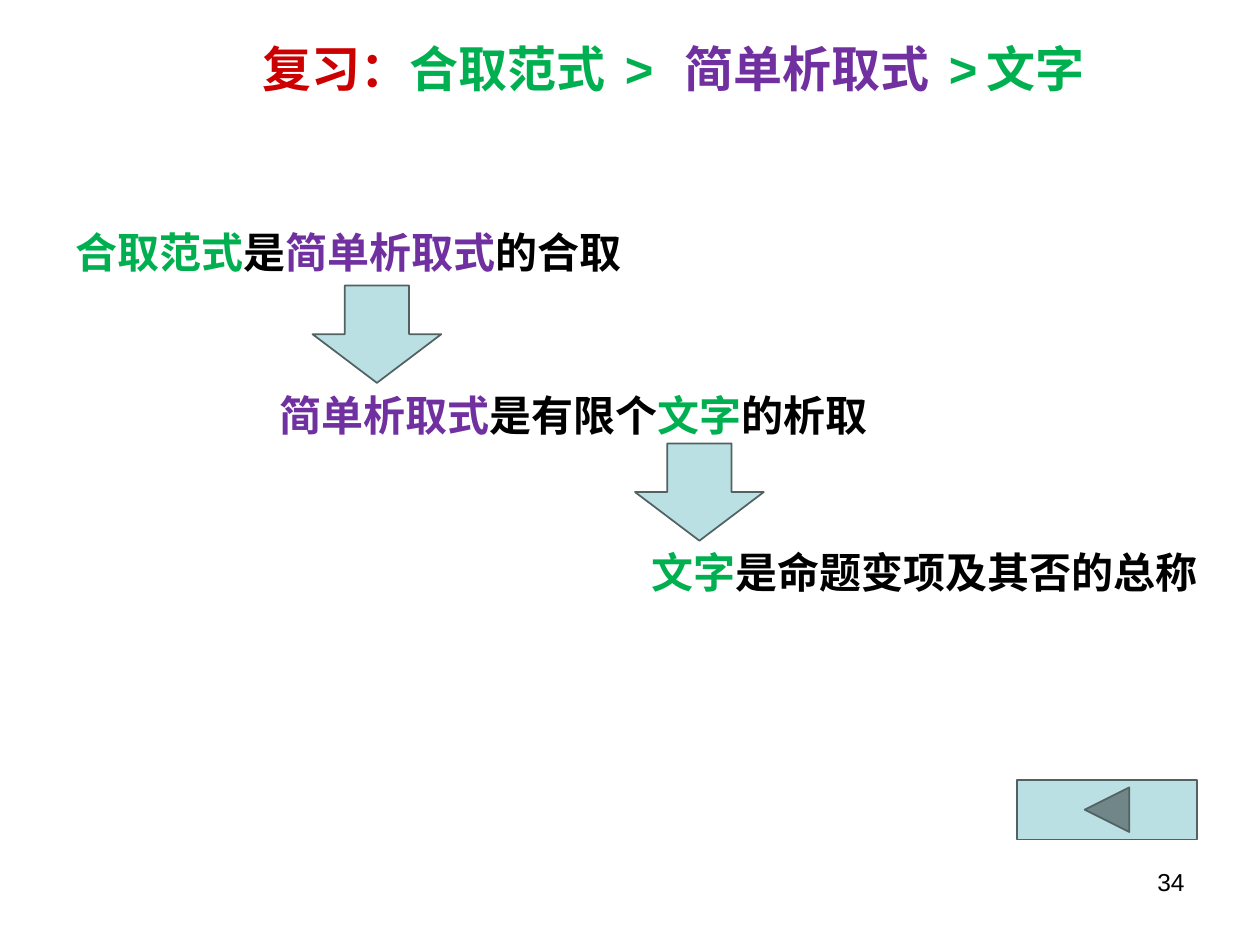
"""Build the review slide on conjunctive normal form, clauses and literals."""
from lxml.etree import SubElement
from pptx import Presentation
from pptx.dml.color import RGBColor
from pptx.enum.shapes import MSO_SHAPE
from pptx.enum.text import MSO_ANCHOR, PP_ALIGN
from pptx.oxml.ns import qn
from pptx.util import Pt

RED, GREEN, PURPLE, BLACK = "CC0000", "00B050", "7030A0", "000000"
PALE, EDGE = "BBE0E3", "526263"
LATIN, CHINESE = "Arial", "Noto Sans CJK SC"
GAP_SPACING = 5

TITLE = [("复习：", RED), ("合取范式", GREEN), (" > ", GREEN),
         ("简单析取式", PURPLE), (" >", GREEN), ("文字", GREEN)]
DEFINITIONS = [
    (36, 126, 364, [("合取范式", GREEN), ("是", BLACK), ("简单析取式", PURPLE), ("的合取", BLACK)]),
    (152.6, 218.9, 364, [("简单析取式", PURPLE), ("是有限个", BLACK), ("文字", GREEN), ("的析取", BLACK)]),
    (365, 308.9, 329, [("文字", GREEN), ("是命题变项及其否的总称", BLACK)]),
]
SHAPES = [
    (MSO_SHAPE.DOWN_ARROW, 178.6, 163.2, 73.6, 55.6),
    (MSO_SHAPE.DOWN_ARROW, 362.9, 253.4, 73.6, 55.6),
    (MSO_SHAPE.ACTION_BUTTON_BACK_OR_PREVIOUS, 581.1, 445.7, 103, 34),
]


def color(value):
    return RGBColor.from_string(value)


def add_text(slide, place, spans, size, font, bold=True,
             align=PP_ALIGN.LEFT, anchor=MSO_ANCHOR.TOP):
    box = slide.shapes.add_textbox(*map(Pt, place))
    frame = box.text_frame
    frame.word_wrap = True
    frame.vertical_anchor = anchor
    para = frame.paragraphs[0]
    para.alignment = align
    for text, tint in spans:
        span = para.add_run()
        span.text = text
        span.font.size = Pt(size)
        span.font.bold = bold
        span.font.name = font
        span.font.color.rgb = color(tint)
        properties = span.font._element
        SubElement(properties, qn("a:ea")).set("typeface", CHINESE)
        if ">" in text:
            properties.set("spc", str(GAP_SPACING * 100))


def add_shape(slide, kind, *place):
    shape = slide.shapes.add_shape(kind, *map(Pt, place))
    shape.shadow.inherit = False
    shape.fill.solid()
    shape.fill.fore_color.rgb = color(PALE)
    shape.line.color.rgb = color(EDGE)
    shape.line.width = Pt(1)


def main():
    deck = Presentation()
    deck.slide_width, deck.slide_height = Pt(720), Pt(540)
    slide = deck.slides.add_slide(deck.slide_layouts[6])
    add_text(slide, (60, 20, 566.6, 37.4), TITLE, 28, LATIN,
             align=PP_ALIGN.RIGHT, anchor=MSO_ANCHOR.MIDDLE)
    for left, top, width, spans in DEFINITIONS:
        add_text(slide, (left, top, width, 37.4), spans, 24, CHINESE)
    add_text(slide, (516, 492, 168, 37.4), [("34", BLACK)], 14, LATIN,
             bold=False, align=PP_ALIGN.RIGHT)
    for kind, *place in SHAPES:
        add_shape(slide, kind, *place)
    deck.save("out.pptx")


if __name__ == "__main__":
    main()
